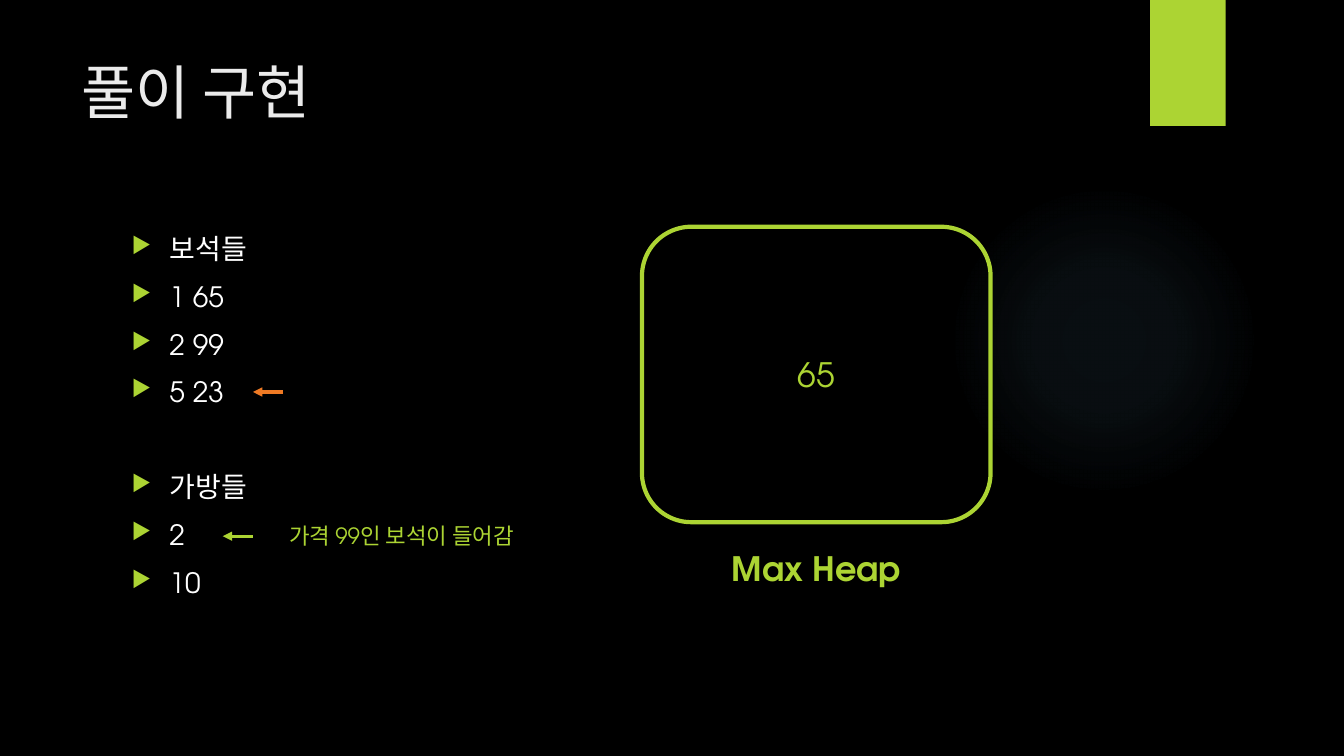
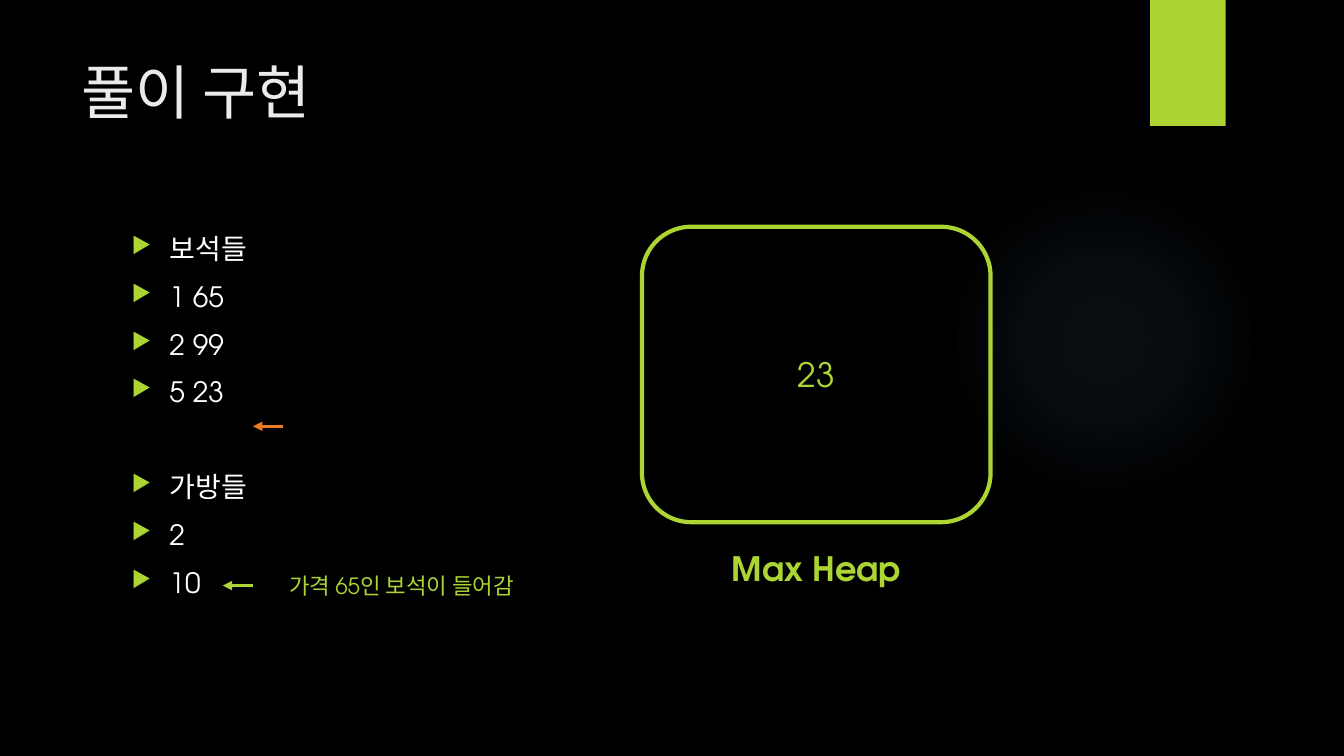
from lxml import etree
from pptx import Presentation
from pptx.dml.color import RGBColor
from pptx.enum import shapes, text
from pptx.oxml import ns
from pptx.util import Pt

FONT = "TeX Gyre Adventor"
COLORS = {"black": "000000", "lime": "ACD433", "orange": "EF7A24",
          "title": "EBEBEB", "white": "FFFFFF", "glow": "7AC4F0"}
GLOW_STOPS = [(0, 7), (36, 6), (69, 0)]
GROUPS = [["보석들", "1 65", "2 99", "5 23"], ["가방들", "2", "10"]]
INDENT, SPACE, GROUP_SPACE = 27, 10, 44
STEPS = [
    {"heap": "65", "gem_y": 280, "bag_y": 383, "note": "가격 99인 보석이 들어감"},
    {"heap": "23", "gem_y": 304.5, "bag_y": 418.3, "note": "가격 65인 보석이 들어감"},
]


def rgb(name):
    """Return a palette colour."""
    return RGBColor.from_string(COLORS[name])


def sub(parent, tag, **attrs):
    """Append a DrawingML element."""
    return etree.SubElement(parent, ns.qn("a:" + tag),
                            {k: str(v) for k, v in attrs.items()})


def add_run(p, words, size, color, bold=False):
    """Add a styled run to a paragraph."""
    r = p.add_run()
    r.text = words
    r.font.color.rgb = rgb(color)
    for key, value in {"name": FONT, "size": Pt(size), "bold": bold}.items():
        setattr(r.font, key, value)


def add_textbox(s, box, **frame):
    """Add a text box and return its text frame."""
    tf = s.shapes.add_textbox(*map(Pt, box)).text_frame
    for key, value in {"word_wrap": True, **frame}.items():
        setattr(tf, key, value)
    return tf


def add_label(s, box, words, size, bold=False):
    """Add a centred lime label that does not wrap."""
    tf = add_textbox(s, box, word_wrap=False,
                     auto_size=text.MSO_AUTO_SIZE.SHAPE_TO_FIT_TEXT)
    p = tf.paragraphs[0]
    p.alignment = text.PP_ALIGN.CENTER
    add_run(p, words, size, "lime", bold)


def add_plain_shape(s, kind, box):
    """Add a shape without shadow, fill or line."""
    sp = s.shapes.add_shape(kind, *map(Pt, box))
    sp.shadow.inherit = False
    sp.fill.background()
    sp.line.fill.background()
    return sp


def add_glow(s):
    """Add the faint radial glow."""
    sp = add_plain_shape(s, shapes.MSO_SHAPE.OVAL, (677.5, 132, 221.75, 221.75))
    sp.fill.gradient()
    grad = sp._element.spPr.find(ns.qn("a:gradFill"))
    for child in list(grad):
        grad.remove(child)
    stops = sub(grad, "gsLst")
    for pos, alpha in GLOW_STOPS:
        color = sub(sub(stops, "gs", pos=pos * 1000), "srgbClr", val=COLORS["glow"])
        sub(color, "alpha", val=alpha * 1000)
    sub(sub(grad, "path", path="circle"), "fillToRect",
        **dict.fromkeys("ltrb", 50000))


def add_frame(s, title):
    """Add the glow, the corner tab and the title."""
    add_glow(s)
    tab = add_plain_shape(s, shapes.MSO_SHAPE.RECTANGLE, (821.5, 0, 54, 90))
    tab.fill.solid()
    tab.fill.fore_color.rgb = rgb("lime")
    tf = add_textbox(s, (51, 36, 741, 110))
    add_run(tf.paragraphs[0], title, 42, "title")


def add_bullets(s, box, groups):
    """Add bulleted groups parted by a wider gap."""
    tf = add_textbox(s, box)
    for g, group in enumerate(groups):
        for i, words in enumerate(group):
            p = tf.add_paragraph() if g or i else tf.paragraphs[0]
            p.space_before = Pt(GROUP_SPACE if g and not i else SPACE)
            pPr = p._p.get_or_add_pPr()
            pPr.set("marL", str(Pt(INDENT)))
            pPr.set("indent", str(-Pt(INDENT)))
            sub(sub(pPr, "buClr"), "srgbClr", val=COLORS["lime"])
            sub(pPr, "buSzPct", val=80000)
            sub(pPr, "buChar", char="▶")
            add_run(p, words, 20, "white")


def add_left_arrow(s, x, y, color, length=21.6):
    """Add an arrow whose head is at x, pointing left."""
    c = s.shapes.add_connector(shapes.MSO_CONNECTOR.STRAIGHT,
                               Pt(x + length), Pt(y), Pt(x), Pt(y))
    c.line.color.rgb = rgb(color)
    c.line.width = Pt(2.25)
    spPr = c._element.spPr
    sub(spPr.find(ns.qn("a:ln")), "tailEnd", type="triangle")
    sub(spPr, "effectLst")


def add_heap(s, value):
    """Add the heap box with its value and caption."""
    sp = add_plain_shape(s, shapes.MSO_SHAPE.ROUNDED_RECTANGLE,
                         (458.6, 162, 249, 211))
    sp.line.color.rgb = rgb("lime")
    sp.line.width = Pt(3)
    sp.text_frame.vertical_anchor = text.MSO_ANCHOR.MIDDLE
    p = sp.text_frame.paragraphs[0]
    p.alignment = text.PP_ALIGN.CENTER
    add_run(p, value, 24, "lime")
    add_label(s, (514.8, 388, 136.8, 36), "Max Heap", 24, bold=True)


def add_step(prs, step):
    """Add the slide for one step of the solution."""
    s = prs.slides.add_slide(prs.slide_layouts[6])
    add_frame(s, "풀이 구현")
    add_bullets(s, (87, 162, 704, 330.5), GROUPS)
    add_left_arrow(s, 159.1, step["bag_y"], "lime")
    add_left_arrow(s, 180.7, step["gem_y"], "orange")
    add_heap(s, step["heap"])
    add_label(s, (191.5, step["bag_y"] - 13.3, 190.8, 26.6), step["note"], 16)


def main():
    """Build and save the slides."""
    prs = Presentation()
    prs.slide_width, prs.slide_height = Pt(960), Pt(540)
    fill = prs.slide_master.background.fill
    fill.solid()
    fill.fore_color.rgb = rgb("black")
    for step in STEPS:
        add_step(prs, step)
    prs.save("out.pptx")


main()
